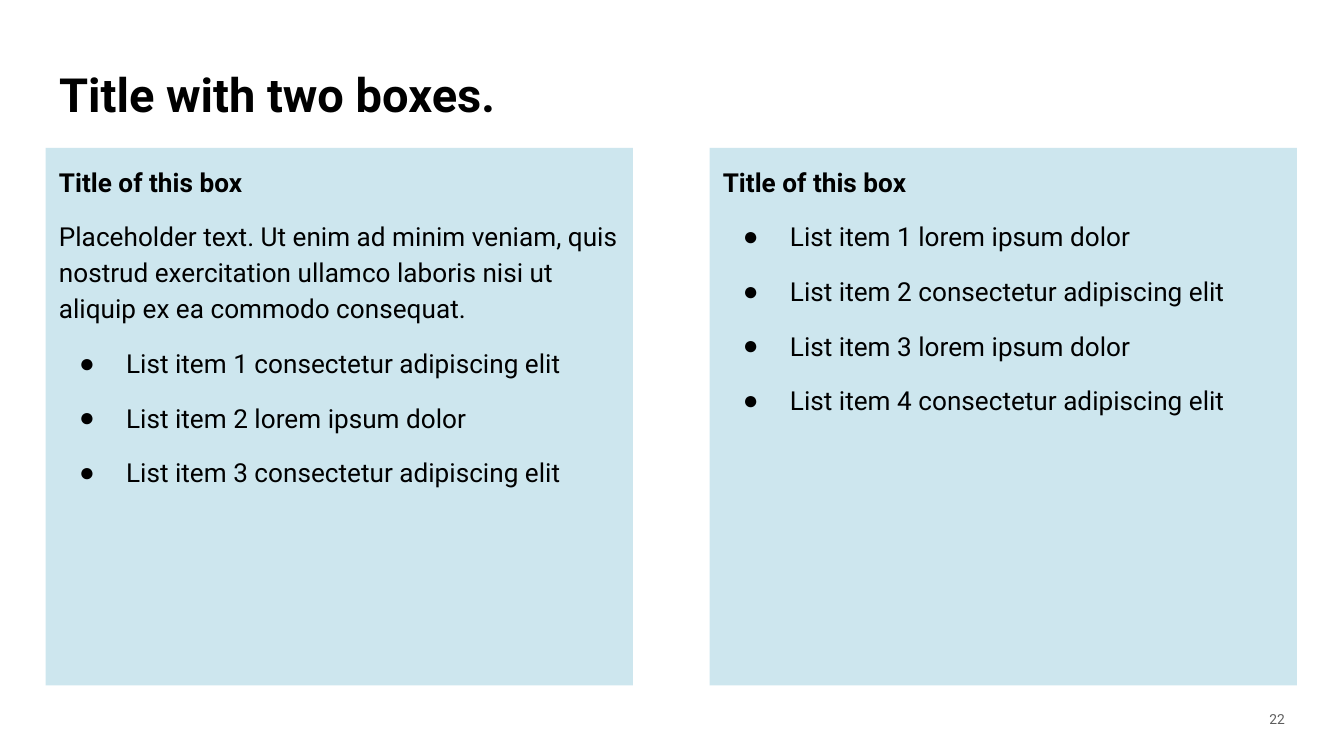
import dataclasses

import lxml.etree
import pptx
import pptx.dml.color
import pptx.enum.shapes
import pptx.enum.text
import pptx.oxml.ns
import pptx.shapes.base
import pptx.slide
import pptx.text.text
import pptx.util

Inches = pptx.util.Inches
Pt = pptx.util.Pt
FONT = "Roboto"
BULLET_FONT = "Arial"
BLACK = "000000"
GREY = "5D5D5D"
PALE_BLUE = "CDE6EE"


@dataclasses.dataclass(frozen=True)
class Line:
    text: str
    bold: bool = False
    bullet: bool = False


@dataclasses.dataclass(frozen=True)
class Box:
    left: float
    lines: tuple[Line, ...]


BOXES = (
    Box(0.34, (
        Line("Title of this box", bold=True),
        Line("Placeholder text. Ut enim ad minim veniam, quis nostrud "
             "exercitation ullamco laboris nisi ut aliquip ex ea commodo consequat."),
        Line("List item 1 consectetur adipiscing elit", bullet=True),
        Line("List item 2 lorem ipsum dolor", bullet=True),
        Line("List item 3 consectetur adipiscing elit", bullet=True),
    )),
    Box(5.28, (
        Line("Title of this box", bold=True),
        Line("List item 1 lorem ipsum dolor", bullet=True),
        Line("List item 2 consectetur adipiscing elit", bullet=True),
        Line("List item 3 lorem ipsum dolor", bullet=True),
        Line("List item 4 consectetur adipiscing elit", bullet=True),
    )),
)


def color(value: str) -> pptx.dml.color.RGBColor:
    return pptx.dml.color.RGBColor.from_string(value)


def add_run(paragraph: pptx.text.text._Paragraph, text: str, size: float,
            fill: str = BLACK, bold: bool = False) -> None:
    run = paragraph.add_run()
    run.text = text
    run.font.name = FONT
    run.font.size = Pt(size)
    run.font.bold = bold
    run.font.color.rgb = color(fill)


def add_bullet(paragraph: pptx.text.text._Paragraph) -> None:
    properties = paragraph._p.get_or_add_pPr()
    properties.set("marL", str(Inches(0.5)))
    properties.set("indent", str(Inches(-0.35)))
    qualified = pptx.oxml.ns.qn
    bullet_color = lxml.etree.SubElement(properties, qualified("a:buClr"))
    lxml.etree.SubElement(bullet_color, qualified("a:srgbClr"), val=BLACK)
    lxml.etree.SubElement(properties, qualified("a:buFont"), typeface=BULLET_FONT)
    lxml.etree.SubElement(properties, qualified("a:buChar"), char="●")


def prepare_frame(shape: pptx.shapes.base.BaseShape,
                  anchor: pptx.enum.text.MSO_ANCHOR) -> pptx.text.text.TextFrame:
    frame = shape.text_frame
    frame.word_wrap = True
    frame.auto_size = pptx.enum.text.MSO_AUTO_SIZE.NONE
    frame.vertical_anchor = anchor
    frame.margin_left = frame.margin_right = Inches(0.1)
    frame.margin_top = frame.margin_bottom = Inches(0.1)
    return frame


def add_title(slide: pptx.slide.Slide, text: str) -> None:
    title = slide.shapes.title
    title.left, title.top = Inches(0.34), Inches(0.38)
    title.width, title.height = Inches(8.91), Inches(0.63)
    frame = prepare_frame(title, pptx.enum.text.MSO_ANCHOR.MIDDLE)
    paragraph = frame.paragraphs[0]
    paragraph.alignment = pptx.enum.text.PP_ALIGN.LEFT
    add_run(paragraph, text, 25.2, bold=True)


def add_box(slide: pptx.slide.Slide, box: Box) -> None:
    shape = slide.shapes.add_shape(
        pptx.enum.shapes.MSO_SHAPE.RECTANGLE,
        Inches(box.left), Inches(1.1), Inches(4.37), Inches(4))
    shape.shadow.inherit = False
    shape.fill.solid()
    shape.fill.fore_color.rgb = color(PALE_BLUE)
    shape.line.fill.background()
    frame = prepare_frame(shape, pptx.enum.text.MSO_ANCHOR.TOP)
    for index, line in enumerate(box.lines):
        paragraph = frame.add_paragraph() if index else frame.paragraphs[0]
        if line.bullet:
            add_bullet(paragraph)
        paragraph.alignment = pptx.enum.text.PP_ALIGN.LEFT
        paragraph.line_spacing = 1.15
        paragraph.space_before = Pt(10 if index else 0)
        add_run(paragraph, line.text, 14, bold=line.bold)
    frame.paragraphs[-1].space_after = Pt(10)


def add_slide_number(slide: pptx.slide.Slide, number: str) -> None:
    text_box = slide.shapes.add_textbox(
        Inches(9.26), Inches(5.21), Inches(0.4), Inches(0.3))
    frame = prepare_frame(text_box, pptx.enum.text.MSO_ANCHOR.MIDDLE)
    paragraph = frame.paragraphs[0]
    paragraph.alignment = pptx.enum.text.PP_ALIGN.RIGHT
    paragraph.line_spacing = 0.8
    add_run(paragraph, number, 7.4, GREY)


def main() -> None:
    presentation = pptx.Presentation()
    # Widescreen page, 16:9
    presentation.slide_width = Inches(10)
    presentation.slide_height = Inches(10) * 9 // 16
    title_only = presentation.slide_layouts[5]
    slide = presentation.slides.add_slide(title_only)

    # Heading
    add_title(slide, "Title with two boxes.")

    # Content boxes
    for box in BOXES:
        add_box(slide, box)

    # Footer
    add_slide_number(slide, "22")
    presentation.save("out.pptx")


if __name__ == "__main__":
    main()
